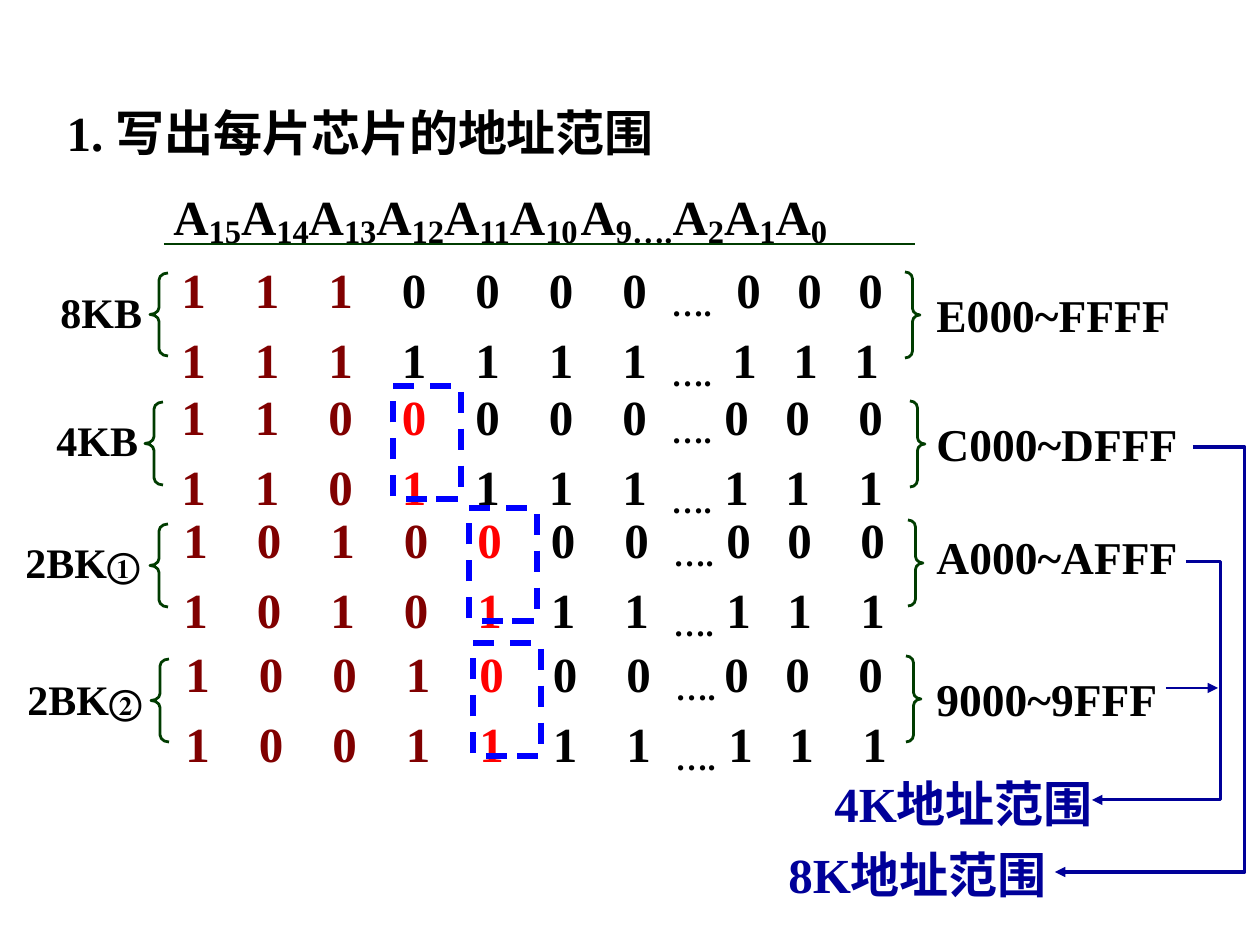
import dataclasses
import typing

import pptx
import pptx.dml.color
import pptx.enum.dml
import pptx.enum.shapes
import pptx.enum.text
import pptx.oxml
import pptx.oxml.ns
import pptx.util

EMU_PER_PX = 914400 / 126
SHAPES = pptx.enum.shapes.MSO_SHAPE


@dataclasses.dataclass(frozen=True)
class Theme:
    font: str = "Times New Roman"
    black: str = "000000"
    maroon: str = "800000"
    red: str = "FF0000"
    green: str = "003C00"
    blue: str = "0000FF"
    navy: str = "000099"
    main: int = 28
    subscript: int = 32
    address: int = 26
    label: int = 24
    circled: int = 20
    small: int = 12


THEME = Theme()


class Span(typing.NamedTuple):
    text: str
    size: int = THEME.main
    color: str = THEME.black
    lowered: bool = False


class Area(typing.NamedTuple):
    left: int
    top: int
    width: int
    height: int


class BitLine(typing.NamedTuple):
    bits: str
    low_bits: str
    low_stops: tuple[int, int, int]


@dataclasses.dataclass(frozen=True)
class Chip:
    label: tuple[Span, ...]
    label_area: Area
    bits_area: Area
    lines: tuple[BitLine, BitLine]
    fixed: int
    marked: bool
    marker: Area | None
    left_brace: tuple[int, int]
    right_brace: tuple[int, int]
    addresses: str
    address_top: int


def px(value: float) -> pptx.util.Emu:
    return pptx.util.Emu(round(value * EMU_PER_PX))


def apply(target: typing.Any, values: dict[str, typing.Any]) -> None:
    for name, value in values.items():
        setattr(target, name, value)


def rgb(color: str) -> pptx.dml.color.RGBColor:
    return pptx.dml.color.RGBColor.from_string(color)


def add_spans(para: typing.Any, spans: typing.Iterable[Span]) -> None:
    for span in spans:
        run = para.add_run()
        run.text = span.text
        apply(run.font, {"name": THEME.font, "size": pptx.util.Pt(span.size), "bold": True})
        run.font.color.rgb = rgb(span.color)
        if span.lowered:
            run.font._element.set("baseline", "-14000")


def add_text(page: typing.Any, area: Area, spans: typing.Iterable[Span]) -> typing.Any:
    box = page.shapes.add_textbox(*map(px, area))
    box.text_frame.word_wrap = True
    add_spans(box.text_frame.paragraphs[0], spans)
    return box


def set_tabs(para: typing.Any, stops: typing.Iterable[float]) -> None:
    properties = para._p.get_or_add_pPr()
    tabs = pptx.oxml.parse_xml(f'<a:tabLst {pptx.oxml.ns.nsdecls("a")}/>')
    for stop in stops:
        tabs.append(pptx.oxml.parse_xml(
            f'<a:tab {pptx.oxml.ns.nsdecls("a")} pos="{px(stop)}" algn="l"/>'))
    properties.append(tabs)


def style_line(shape: typing.Any, color: str, width: float, arrow: bool = False) -> None:
    shape.line.color.rgb = rgb(color)
    shape.line.width = pptx.util.Pt(width)
    if arrow:
        shape.line._get_or_add_ln().append(pptx.oxml.parse_xml(
            f'<a:tailEnd {pptx.oxml.ns.nsdecls("a")} type="triangle"/>'))


def add_outline(page: typing.Any, kind: typing.Any, area: Area, color: str, width: float) -> typing.Any:
    shape = page.shapes.add_shape(kind, *map(px, area))
    shape.shadow.inherit = False
    shape.fill.background()
    style_line(shape, color, width)
    return shape


def add_line(page: typing.Any, left: int, right: int, y: int, color: str, arrow: bool = False) -> None:
    line = page.shapes.add_connector(
        pptx.enum.shapes.MSO_CONNECTOR.STRAIGHT, px(left), px(y), px(right), px(y))
    style_line(line, color, 1.5, arrow)
    line._element.spPr.append(pptx.oxml.parse_xml(
        f'<a:effectLst {pptx.oxml.ns.nsdecls("a")}/>'))


def add_route(page: typing.Any, points: list[tuple[int, int]]) -> None:
    corners = [(px(x), px(y)) for x, y in points]
    builder = page.shapes.build_freeform(*corners[0], scale=1.0)
    builder.add_line_segments(corners[1:], close=False)
    route = builder.convert_to_shape()
    route.shadow.inherit = False
    route.fill.background()
    style_line(route, THEME.navy, 1.75, arrow=True)


def add_brace(page: typing.Any, kind: typing.Any, area: Area, bend: float) -> None:
    brace = add_outline(page, kind, area, THEME.green, 1.6)
    brace.adjustments[0] = bend


def bit_spans(line: BitLine, fixed: int, marked: bool) -> list[Span]:
    bits = line.bits
    spans = [Span("\t".join(bits[:fixed]) + "\t", color=THEME.maroon)]
    if marked:
        spans.append(Span(bits[fixed], color=THEME.red))
        spans.append(Span("\t" + "\t".join(bits[fixed + 1:]) + "\t"))
    else:
        spans.append(Span("\t".join(bits[fixed:]) + "\t"))
    return spans + [Span("….", THEME.subscript, lowered=True),
                    Span("\t" + "\t".join(line.low_bits))]


def draw_chip(page: typing.Any, chip: Chip) -> None:
    add_text(page, chip.label_area, chip.label)
    add_brace(page, SHAPES.LEFT_BRACE, Area(*chip.left_brace, 18, 83), 0.39)
    box = add_text(page, chip.bits_area, ())
    for index, line in enumerate(chip.lines):
        para = box.text_frame.add_paragraph() if index else box.text_frame.paragraphs[0]
        set_tabs(para, [73.5 * column for column in range(1, 7)] + [490, *line.low_stops])
        add_spans(para, bit_spans(line, chip.fixed, chip.marked))
    if chip.marker:
        marker = add_outline(page, SHAPES.RECTANGLE, chip.marker, THEME.blue, 3)
        marker.line.dash_style = pptx.enum.dml.MSO_LINE.DASH
    add_brace(page, SHAPES.RIGHT_BRACE, Area(*chip.right_brace, 15, 86), 0.45)
    add_text(page, Area(924, chip.address_top, 270, 67), [Span(chip.addresses, THEME.address)])


def size_label(text: str, circled: str = "") -> tuple[Span, ...]:
    spans = (Span(text, THEME.label),)
    return spans + (Span(circled, THEME.circled),) if circled else spans


NEAR = (543, 604, 677)
CHIPS = [
    Chip(size_label("8KB"), Area(48, 280, 113, 63), Area(169, 246, 819, 130),
         (BitLine("1110000", "000", (555, 616, 677)), BitLine("1111111", "111", (551, 612, 673))),
         3, False, None, (150, 273), (905, 272), "E000~FFFF", 281),
    Chip(size_label("4KB"), Area(44, 408, 142, 63), Area(169, 373, 819, 130),
         (BitLine("1100000", "000", NEAR), BitLine("1101111", "111", NEAR)),
         3, True, Area(393, 386, 68, 113), (145, 402), (910, 401), "C000~DFFF", 410),
    Chip(size_label("2BK", "①"), Area(13, 530, 142, 63), Area(171, 496, 819, 130),
         (BitLine("1010000", "000", NEAR), BitLine("1010111", "111", NEAR)),
         4, True, Area(469, 508, 68, 113), (150, 524), (908, 520), "A000~AFFF", 523),
    Chip(size_label("2BK", "②"), Area(15, 667, 166, 63), Area(173, 630, 780, 130),
         (BitLine("1001000", "000", (539, 600, 673)), BitLine("1001111", "111", NEAR)),
         4, True, Area(473, 643, 68, 113), (151, 659), (906, 656), "9000~9FFF", 665),
]


def draw_title(page: typing.Any) -> None:
    title = page.shapes.title
    apply(title, dict(zip(("left", "top", "width", "height"), map(px, Area(54, 96, 616, 72)))))
    apply(title.text_frame, {
        "word_wrap": True,
        "auto_size": pptx.enum.text.MSO_AUTO_SIZE.NONE,
        "vertical_anchor": pptx.enum.text.MSO_ANCHOR.TOP,
    })
    para = title.text_frame.paragraphs[0]
    para.alignment = pptx.enum.text.PP_ALIGN.LEFT
    add_spans(para, [Span("1. 写出每片芯片的地址范围")])


def draw_header(page: typing.Any) -> None:
    spans = []
    for index in ("15", "14", "13", "12", "11", "10", "9….", "2", "1", "0"):
        spans += [Span("A"), Span(index, THEME.subscript, lowered=True)]
        if index == "10":
            spans.append(Span(" ", THEME.small, lowered=True))
    add_text(page, Area(161, 173, 750, 72), spans)
    add_line(page, 164, 915, 244, THEME.green)


def main() -> None:
    deck = pptx.Presentation()
    apply(deck, {"slide_width": px(1260), "slide_height": px(945)})
    page = deck.slides.add_slide(deck.slide_layouts[5])
    draw_title(page)
    draw_header(page)
    for chip in CHIPS:
        draw_chip(page, chip)
    add_route(page, [(1193, 447), (1245, 447), (1245, 872), (1055, 872)])
    add_route(page, [(1186, 562), (1221, 562), (1221, 800), (1092, 800)])
    add_line(page, 1166, 1218, 688, THEME.navy, arrow=True)
    for text, left, top in (("8K地址范围", 776, 838), ("4K地址范围", 822, 767)):
        add_text(page, Area(left, top, 324, 72), [Span(text, color=THEME.navy)])
    deck.save("out.pptx")


if __name__ == "__main__":
    main()
